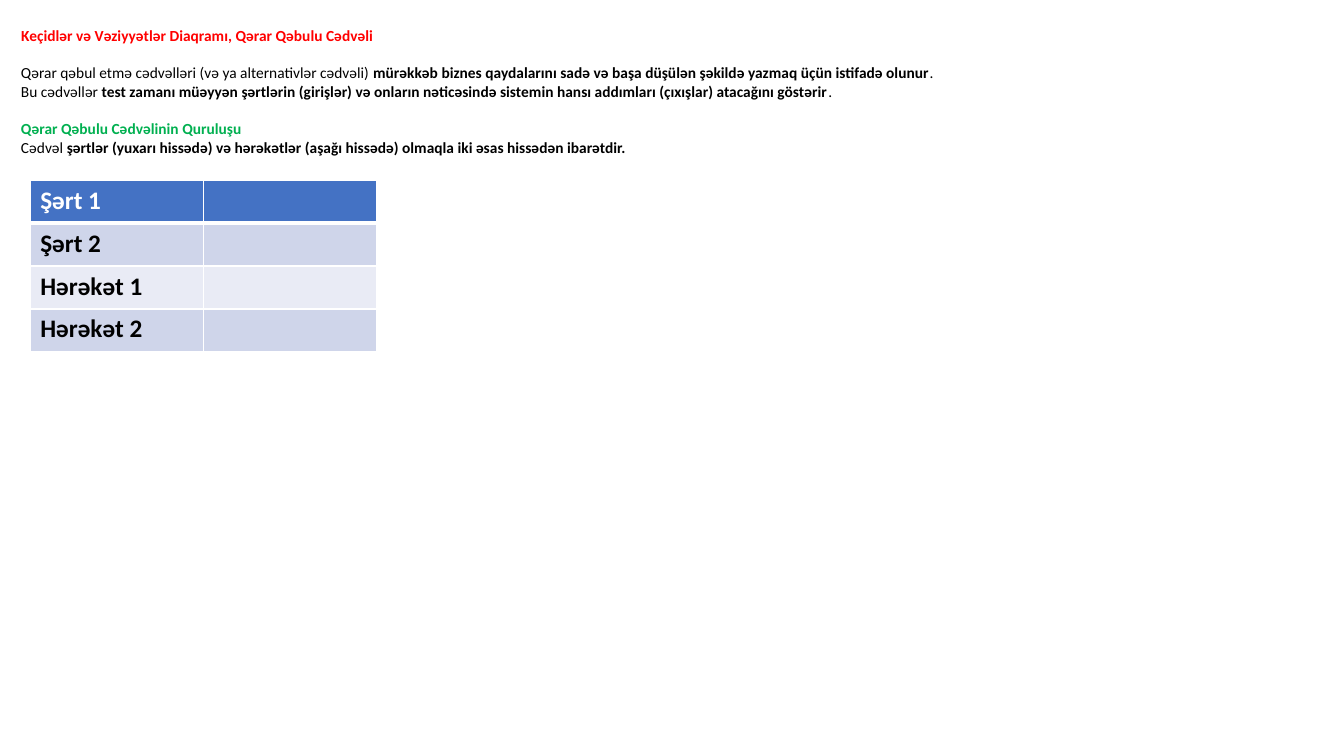
import pptx
import pptx.dml.color
import pptx.enum.text
import pptx.oxml.ns
import pptx.util
from lxml import etree

Inches = pptx.util.Inches
Pt = pptx.util.Pt
RGBColor = pptx.dml.color.RGBColor

RED = RGBColor(0xFF, 0x00, 0x00)
GREEN = RGBColor(0x00, 0xB0, 0x50)
BLACK = RGBColor(0x00, 0x00, 0x00)
WHITE = RGBColor(0xFF, 0xFF, 0xFF)
HEADER_BLUE = RGBColor(0x44, 0x72, 0xC4)
BAND_DARK = RGBColor(0xCF, 0xD5, 0xEA)
BAND_LIGHT = RGBColor(0xE9, 0xEB, 0xF5)

HEADING = "Keçidlər və Vəziyyətlər Diaqramı, Qərar Qəbulu Cədvəli"
# Each paragraph: space before in points, then runs of (text, bold, colour)
EXPLANATION = [
    (0, [("Qərar qəbul etmə cədvəlləri (və ya alternativlər cədvəli) ", False, BLACK),
         ("mürəkkəb biznes qaydalarını sadə və başa düşülən şəkildə yazmaq üçün "
          "istifadə olunur", True, BLACK),
         (".", False, BLACK)]),
    (0, [("Bu cədvəllər ", False, BLACK),
         ("test zamanı müəyyən şərtlərin (girişlər) və onların nəticəsində sistemin "
          "hansı addımları (çıxışlar) atacağını göstərir", True, BLACK),
         (".", False, BLACK)]),
    (13.4, [("Qərar Qəbulu Cədvəlinin Quruluşu", True, GREEN)]),
    (0, [("Cədvəl ", False, BLACK),
         ("şərtlər (yuxarı hissədə) və hərəkətlər (aşağı hissədə) olmaqla iki əsas "
          "hissədən ibarətdir.", True, BLACK)]),
]
DECISION_ROWS = [
    ("Şərt 1", WHITE, HEADER_BLUE),
    ("Şərt 2", BLACK, BAND_DARK),
    ("Hərəkət 1", BLACK, BAND_LIGHT),
    ("Hərəkət 2", BLACK, BAND_DARK),
]


class DecisionTableSlide:
    font_name = "Calibri"
    text_size = 11
    cell_size = 18

    def __init__(self, deck):
        self.slide = deck.slides.add_slide(deck.slide_layouts[5])

    def add_run(self, paragraph, text, bold, color, size):
        run = paragraph.add_run()
        run.text = text
        run.font.name = self.font_name
        run.font.size = Pt(size)
        run.font.bold = bold
        run.font.color.rgb = color

    def fill_frame(self, frame, paragraphs):
        frame.word_wrap = True
        frame.auto_size = pptx.enum.text.MSO_AUTO_SIZE.NONE
        frame.vertical_anchor = pptx.enum.text.MSO_ANCHOR.TOP
        for index, (space_before, runs) in enumerate(paragraphs):
            paragraph = frame.add_paragraph() if index else frame.paragraphs[0]
            paragraph.alignment = pptx.enum.text.PP_ALIGN.LEFT
            paragraph.line_spacing = 1.0
            paragraph.space_before = Pt(space_before)
            for text, bold, color in runs:
                self.add_run(paragraph, text, bold, color, self.text_size)

    def title(self, text, left, top, width, height):
        heading = self.slide.shapes.title
        heading.left, heading.top = Inches(left), Inches(top)
        heading.width, heading.height = Inches(width), Inches(height)
        self.fill_frame(heading.text_frame, [(0, [(text, True, RED)])])

    def text(self, paragraphs, left, top, width, height):
        box = self.slide.shapes.add_textbox(
            Inches(left), Inches(top), Inches(width), Inches(height))
        self.fill_frame(box.text_frame, paragraphs)

    def border(self, cell, side, width):
        line = etree.SubElement(cell._tc.get_or_add_tcPr(),
                                pptx.oxml.ns.qn(f"a:ln{side}"), w=str(Pt(width)))
        solid = etree.SubElement(line, pptx.oxml.ns.qn("a:solidFill"))
        etree.SubElement(solid, pptx.oxml.ns.qn("a:srgbClr"), val=str(WHITE))

    def table(self, rows, column_count, left, top, width, height):
        grid = self.slide.shapes.add_table(
            len(rows), column_count, Inches(left), Inches(top),
            Inches(width), Inches(height)).table
        for row_index, (label, color, background) in enumerate(rows):
            for column_index in range(column_count):
                cell = grid.cell(row_index, column_index)
                top_width = 3 if row_index == 1 else 1
                bottom_width = 3 if row_index == 0 else 1
                # Borders must precede the fill in the cell properties
                for side, line_width in (("L", 1), ("R", 1),
                                         ("T", top_width), ("B", bottom_width)):
                    self.border(cell, side, line_width)
                cell.fill.solid()
                cell.fill.fore_color.rgb = background
            self.add_run(grid.cell(row_index, 0).text_frame.paragraphs[0],
                         label, True, color, self.cell_size)


def main():
    deck = pptx.Presentation()
    deck.slide_width = Inches(13.33)
    deck.slide_height = Inches(7.5)
    page = DecisionTableSlide(deck)
    page.title(HEADING, 0.11, 0.21, 13.11, 0.3)
    page.text(EXPLANATION, 0.11, 0.58, 13.11, 1.03)
    page.table(DECISION_ROWS, 2, 0.3, 1.79, 3.44, 1.7)
    deck.save("out.pptx")


if __name__ == "__main__":
    main()
